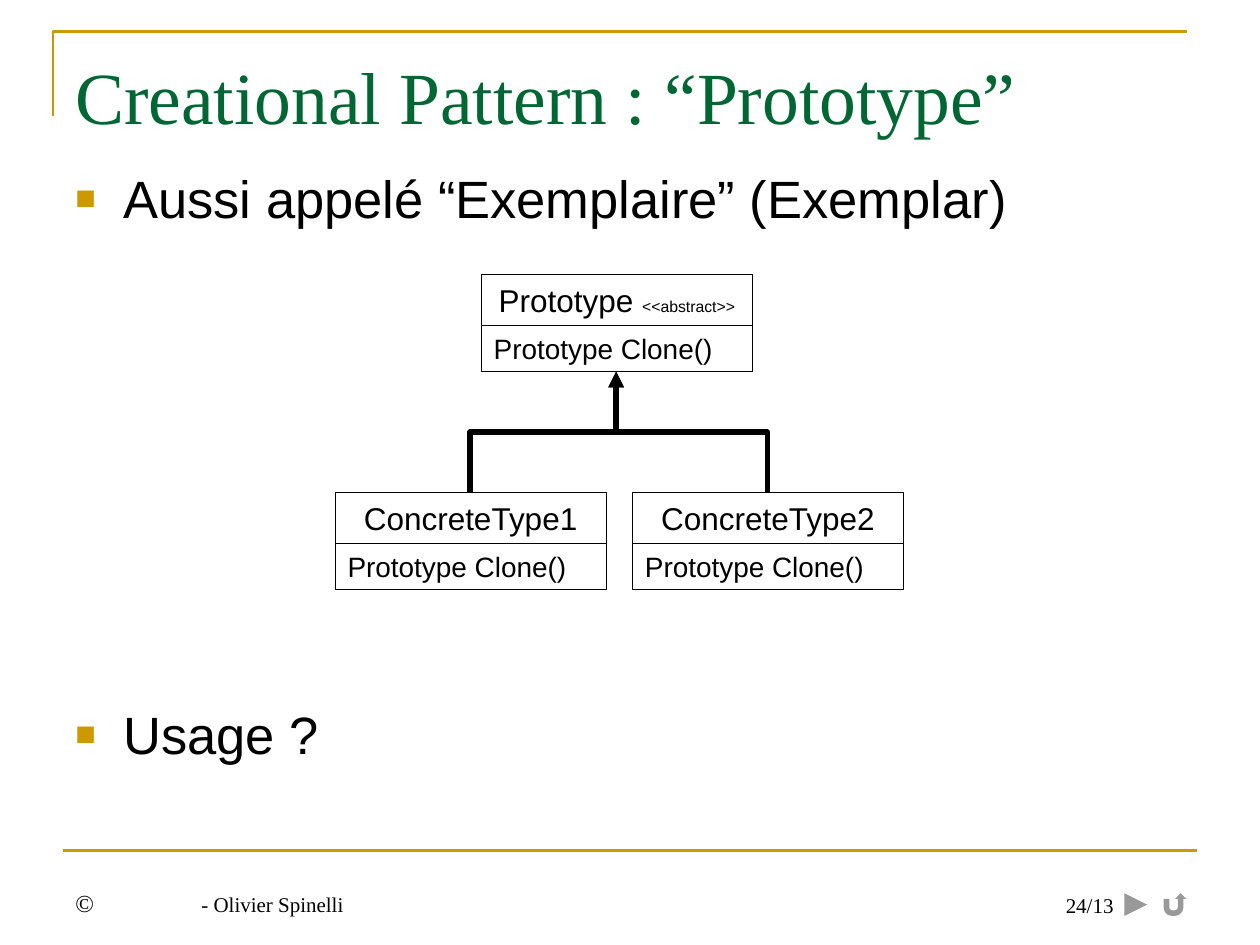
from lxml.etree import SubElement
from pptx import Presentation
from pptx.dml.color import RGBColor
from pptx.enum.shapes import MSO_CONNECTOR as Link, MSO_SHAPE as Shape
from pptx.enum.text import MSO_ANCHOR as Anchor, PP_ALIGN as Align
from pptx.oxml.ns import qn
from pptx.util import Inches, Pt

COLORS = {"ink": "000000", "title": "006633", "gold": "CC9900", "paper": "FFFFFF"}
SERIF, SANS = "Times New Roman", "Arial"


class ClassDiagramSlide:
    def __init__(self, slide):
        self.slide = slide
        self.shapes = slide.shapes

    def color(self, name):
        return RGBColor.from_string(COLORS[name])

    def stroke(self, line, color, width):
        line.color.rgb = self.color(color)
        line.width = Pt(width)

    def fill_text(self, paragraph, parts, font, color="ink"):
        for text, size in parts:
            run = paragraph.add_run()
            run.text = text
            run.font.name = font
            run.font.size = Pt(size)
            run.font.color.rgb = self.color(color)

    def text(self, left, top, width, height, parts, font, color="ink", anchor=Anchor.BOTTOM):
        box = self.shapes.add_textbox(*map(Inches, (left, top, width, height)))
        frame = box.text_frame
        frame.word_wrap = True
        frame.vertical_anchor = anchor
        self.fill_text(frame.paragraphs[0], parts, font, color)
        return frame

    def tab(self, paragraph, position, side):
        stops = SubElement(paragraph._p.get_or_add_pPr(), qn("a:tabLst"))
        SubElement(stops, qn("a:tab"), pos=str(Inches(position)), algn=side)

    def bullet(self, paragraph, gap):
        paragraph.space_before = Pt(gap)
        properties = paragraph._p.get_or_add_pPr()
        properties.set("marL", str(Inches(0.38)))
        properties.set("indent", str(-Inches(0.38)))
        tint = SubElement(properties, qn("a:buClr"))
        SubElement(tint, qn("a:srgbClr"), val=COLORS["gold"])
        SubElement(properties, qn("a:buSzPct"), val="65000")
        SubElement(properties, qn("a:buFont"), typeface=SANS)
        SubElement(properties, qn("a:buChar"), char="■")

    def compartment(self, left, top, height, parts, align):
        box = self.shapes.add_shape(Shape.RECTANGLE, *map(Inches, (left, top, 2.15, height)))
        box.shadow.inherit = False
        box.fill.background()
        self.stroke(box.line, "ink", 0.25)
        frame = box.text_frame
        frame.word_wrap = True
        frame.vertical_anchor = Anchor.TOP
        frame.paragraphs[0].alignment = align
        self.fill_text(frame.paragraphs[0], parts, SANS)

    def class_box(self, left, top, heading):
        self.compartment(left, top, 0.4, heading, Align.CENTER)
        self.compartment(left, top + 0.4, 0.37, [("Prototype Clone()", 16)], Align.LEFT)

    def connector(self, kind, start, end, color, width):
        line = self.shapes.add_connector(kind, *map(Inches, (*start, *end)))
        self.stroke(line.line, color, width)
        SubElement(line._element.spPr, qn("a:effectLst"))
        return line

    def inheritance(self, child, parent):
        middle_x, middle_y = ((a + b) / 2 for a, b in zip(child, parent))
        turn = 1 if child[0] < parent[0] else -1
        along = turn * (child[1] - middle_y)
        across = turn * (middle_x - child[0])
        line = self.connector(
            Link.ELBOW,
            (middle_x + along, middle_y + across),
            (middle_x - along, middle_y - across),
            "ink", 3,
        )
        properties = line._element.spPr
        properties.find(qn("a:xfrm")).set("rot", str(turn * 90 % 360 * 60000))
        SubElement(properties.find(qn("a:ln")), qn("a:tailEnd"), type="triangle")

    def corner(self, points):
        start, *rest = [tuple(map(Inches, point)) for point in points]
        builder = self.shapes.build_freeform(*start)
        builder.add_line_segments(rest, close=False)
        frame = builder.convert_to_shape()
        frame.shadow.inherit = False
        frame.fill.background()
        self.stroke(frame.line, "gold", 1.5)

    def button(self, kind, left):
        button = self.shapes.add_shape(kind, *map(Inches, (left, 7.06, 0.31, 0.24)))
        button.shadow.inherit = False
        button.fill.solid()
        button.fill.fore_color.rgb = self.color("paper")
        button.line.fill.background()


def main():
    deck = Presentation()
    deck.slide_width, deck.slide_height = Inches(10), Inches(7.5)
    page = ClassDiagramSlide(deck.slides.add_slide(deck.slide_layouts[6]))

    page.corner([(0.42, 0.92), (0.42, 0.25), (9.42, 0.25)])
    page.connector(Link.STRAIGHT, (0.5, 6.75), (9.5, 6.75), "gold", 1.5)
    page.button(Shape.ACTION_BUTTON_FORWARD_OR_NEXT, 8.86)
    page.button(Shape.ACTION_BUTTON_RETURN, 9.17)

    credit = page.text(0.5, 6.83, 2.33, 0.5, [("©\t", 14), ("- Olivier Spinelli", 12)], SERIF)
    page.tab(credit.paragraphs[0], 1, "l")
    number = page.text(7.17, 6.83, 2.33, 0.5, [("\t24/13", 12)], SERIF)
    page.tab(number.paragraphs[0], 1.57, "r")

    page.text(0.5, 0.3, 9, 0.85, [("Creational Pattern : “Prototype”", 42)], SERIF, "title")
    body = page.text(0.5, 1.23, 9, 5.2, [("Aussi appelé “Exemplaire” (Exemplar)", 30)],
                     SANS, anchor=Anchor.TOP)
    body.margin_top = Inches(0.09)
    page.bullet(body.paragraphs[0], 0)
    usage = body.add_paragraph()
    page.fill_text(usage, [("Usage ?", 30)], SANS)
    page.bullet(usage, 270)

    page.class_box(3.82, 2.18, [("Prototype ", 18), ("<<abstract>>", 9)])
    children = [(2.66, "ConcreteType1"), (5.02, "ConcreteType2")]
    for left, name in children:
        page.class_box(left, 3.91, [(name, 18)])
    for left, _ in children:
        page.inheritance((left + 1.07, 3.91), (4.89, 2.95))

    deck.save("out.pptx")


if __name__ == "__main__":
    main()
